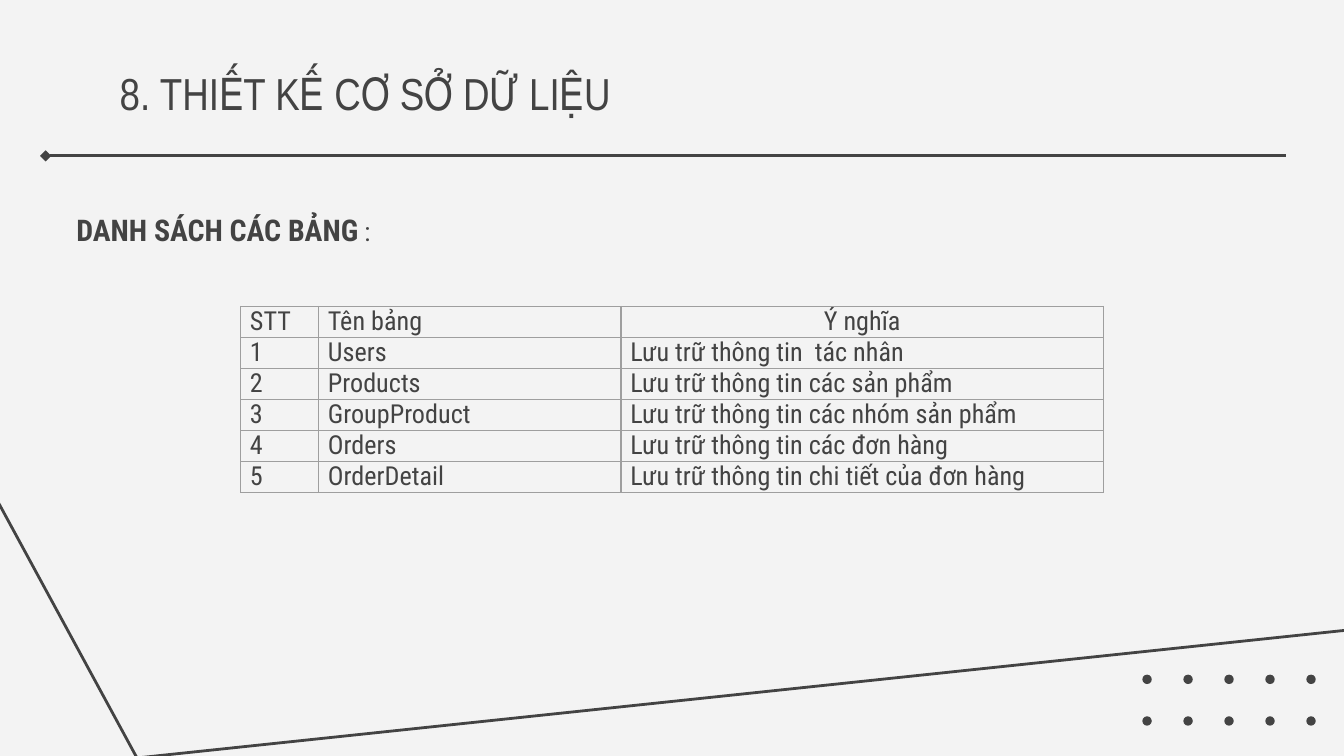
"""Build the database design slide with its list of tables."""
from dataclasses import dataclass

from lxml.etree import SubElement
from pptx import Presentation
from pptx.dml.color import RGBColor
from pptx.enum.shapes import MSO_CONNECTOR, MSO_SHAPE
from pptx.enum.text import MSO_ANCHOR, PP_ALIGN
from pptx.oxml.ns import qn
from pptx.util import Inches, Pt


@dataclass(frozen=True)
class Theme:
    ink: RGBColor = RGBColor.from_string("434343")
    paper: RGBColor = RGBColor.from_string("F3F3F3")
    grid: str = "9E9E9E"
    title_font: str = "Arial Narrow"
    body_font: str = "Roboto Condensed"
    title_size: int = 24
    heading_size: int = 16
    body_size: int = 14
    rule_width: float = 1.5
    grid_width: float = 0.75


theme = Theme()


def add_text(paragraph, text, size=theme.body_size, font=theme.body_font,
             bold=False, align=PP_ALIGN.LEFT, after=0, spacing=1.0):
    paragraph.alignment = align
    paragraph.space_after = Pt(after)
    paragraph.line_spacing = spacing
    run = paragraph.add_run()
    run.text = text
    run.font.size = Pt(size)
    run.font.name = font
    run.font.bold = bold
    run.font.color.rgb = theme.ink


def set_borders(cell):
    properties = cell._tc.get_or_add_tcPr()
    for position, side in enumerate(("a:lnL", "a:lnR", "a:lnT", "a:lnB")):
        border = properties.makeelement(qn(side), {"w": str(Pt(theme.grid_width))})
        fill = SubElement(border, qn("a:solidFill"))
        SubElement(fill, qn("a:srgbClr"), val=theme.grid)
        properties.insert(position, border)


deck = Presentation()
deck.slide_width = Inches(10)
deck.slide_height = deck.slide_width * 9 // 16
slide = deck.slides.add_slide(deck.slide_layouts[5])
slide.background.fill.solid()
slide.background.fill.fore_color.rgb = theme.paper
shapes = slide.shapes

for row in range(2):
    for column in range(5):
        dot = shapes.add_shape(
            MSO_SHAPE.OVAL, Inches(8.5) + column * Inches(1.22) // 4,
            Inches(5.02 + 0.31 * row), Inches(0.07), Inches(0.07))
        dot.shadow.inherit = False
        dot.fill.solid()
        dot.fill.fore_color.rgb = theme.ink
        dot.line.fill.background()

corner_path = shapes.build_freeform(Inches(-0.12), Inches(3.54))
corner_path.add_line_segments(
    [(Inches(1.02), Inches(5.64)), (Inches(10.11), Inches(4.68))], close=False)
corner = corner_path.convert_to_shape()
corner.shadow.inherit = False
corner.fill.background()
corner.line.color.rgb = theme.ink
corner.line.width = Pt(theme.rule_width)

title = shapes.title
title.left, title.top = Inches(0.79), Inches(0.39)
title.width, title.height = Inches(3.93), Inches(0.91)
title_frame = title.text_frame
title_frame.word_wrap = True
title_frame.vertical_anchor = MSO_ANCHOR.TOP
title_frame.margin_left = title_frame.margin_right = Inches(0.1)
title_frame.margin_top = title_frame.margin_bottom = Inches(0.1)
add_text(title_frame.paragraphs[0], "8. THIẾT KẾ CƠ SỞ DỮ LIỆU",
         size=theme.title_size, font=theme.title_font)

title_rule = shapes.add_connector(
    MSO_CONNECTOR.STRAIGHT, Inches(0.34), Inches(1.16), Inches(9.57), Inches(1.16))
title_rule.line.color.rgb = theme.ink
title_rule.line.width = Pt(theme.rule_width)
SubElement(title_rule.line._get_or_add_ln(), qn("a:headEnd"), type="diamond")
SubElement(title_rule._element.spPr, qn("a:effectLst"))

entries = [
    ("STT", "Tên bảng", "Ý nghĩa"),
    ("1", "Users", "Lưu trữ thông tin  tác nhân"),
    ("2", "Products", "Lưu trữ thông tin các sản phẩm"),
    ("3", "GroupProduct", "Lưu trữ thông tin các nhóm sản phẩm"),
    ("4", "Orders", "Lưu trữ thông tin các đơn hàng"),
    ("5", "OrderDetail", "Lưu trữ thông tin chi tiết của đơn hàng"),
]
row_height = Inches(0.23)
table_list = shapes.add_table(
    len(entries), 3, Inches(1.79), Inches(2.28),
    Inches(6.42), row_height * len(entries)).table
table_list.first_row = table_list.horz_banding = False
for column, width in zip(table_list.columns, (0.58, 2.25, 3.59)):
    column.width = Inches(width)
for row, entry in enumerate(entries):
    table_list.rows[row].height = row_height
    for column, text in enumerate(entry):
        cell = table_list.cell(row, column)
        cell.margin_left = cell.margin_right = Inches(0.07)
        cell.margin_top = cell.margin_bottom = 0
        cell.fill.background()
        set_borders(cell)
        centred = row == 0 and column == 2
        add_text(cell.text_frame.paragraphs[0], text, after=16,
                 align=PP_ALIGN.CENTER if centred else PP_ALIGN.LEFT)

heading = shapes.add_textbox(Inches(0.47), Inches(1.31), Inches(3.78), Inches(0.77))
heading_frame = heading.text_frame
heading_frame.word_wrap = True
heading_frame.margin_top = Inches(0.25)
heading_frame.margin_left = heading_frame.margin_right = Inches(0.1)
heading_frame.margin_bottom = Inches(0.1)
heading_line = heading_frame.paragraphs[0]
add_text(heading_line, "DANH SÁCH CÁC BẢNG", size=theme.heading_size, bold=True,
         after=16, spacing=1.15)
add_text(heading_line, " :", after=16, spacing=1.15)

deck.save("out.pptx")
